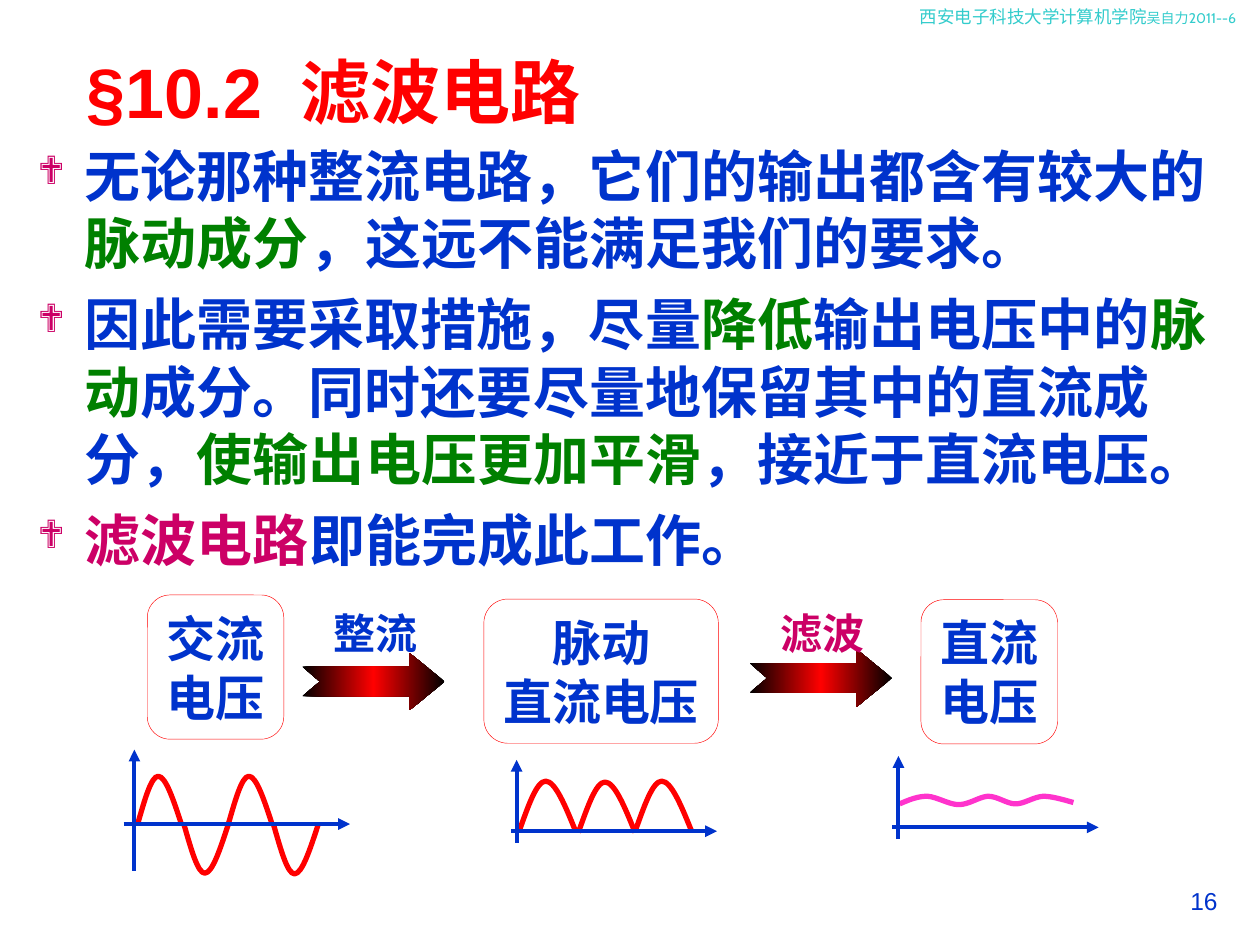
from copy import deepcopy

from pptx import Presentation
from pptx.dml.color import RGBColor
from pptx.enum.shapes import MSO_CONNECTOR, MSO_SHAPE
from pptx.enum.text import MSO_ANCHOR, MSO_AUTO_SIZE, PP_ALIGN
from pptx.oxml.ns import qn
from pptx.oxml.xmlchemy import OxmlElement
from pptx.util import Pt

BLUE = RGBColor(0x00, 0x33, 0xCC)
GREEN = RGBColor(0x00, 0x80, 0x00)
MAGENTA = RGBColor(0xCC, 0x00, 0x66)
PINK = RGBColor(0xFF, 0x33, 0xCC)
RED = RGBColor(0xFF, 0x00, 0x00)
BLACK = RGBColor(0x00, 0x00, 0x00)
TEAL = RGBColor(0x33, 0xCC, 0xCC)
CJK = "Noto Sans CJK SC"


def add_run(p, text, size=28, font=CJK, color=BLUE, bold=True):
    r = p.add_run()
    r.text = text
    r.font.size, r.font.name, r.font.bold = Pt(size), font, bold
    r.font.color.rgb = color
    ea = OxmlElement("a:ea")
    ea.set("typeface", CJK)
    r.font._element.find(qn("a:latin")).addnext(ea)


def add_outline(points, curve_color=None):
    """Closed polygon, or an open Bezier curve when a curve colour is given."""
    points = [(Pt(x), Pt(y)) for x, y in points]
    fb = s.shapes.build_freeform(*points[0])
    fb.add_line_segments(points[1:], close=curve_color is None)
    sp = fb.convert_to_shape()
    sp.shadow.inherit = False
    if curve_color is None:
        sp.line.fill.background()
        return sp
    sp.fill.background()
    sp.line.color.rgb = curve_color
    sp.line.width = Pt(3)
    # Every three vertices become one cubic segment
    segments = list(sp._element.iter(qn("a:lnTo")))
    for i in range(0, len(segments), 3):
        cubic = OxmlElement("a:cubicBezTo")
        segments[i].addprevious(cubic)
        for segment in segments[i:i + 3]:
            cubic.append(segment[0])
            segment.getparent().remove(segment)
    return sp


prs = Presentation()
prs.slide_width, prs.slide_height = Pt(720), Pt(540)
s = prs.slides.add_slide(prs.slide_layouts[5])

# Title
title = s.shapes.title
title.left, title.top, title.width, title.height = Pt(42.5), Pt(20.5), Pt(358.5), Pt(62.6)
title.text_frame.vertical_anchor = MSO_ANCHOR.MIDDLE
p = title.text_frame.paragraphs[0]
p.alignment = PP_ALIGN.LEFT
add_run(p, "§10.2  滤波电路", size=40, font="Arial", color=RED)

# Header line
tf = s.shapes.add_textbox(Pt(518.6), 0, Pt(201.4), Pt(19.4)).text_frame
tf.word_wrap = True
p = tf.paragraphs[0]
add_run(p, "西安电子科技大学计算机学院", size=10, font="Cabin", color=TEAL, bold=False)
add_run(p, "吴自力2011--6", size=8, font="Cabin", color=TEAL, bold=False)

# Bulleted body text
body = [
    [("无论那种整流电路，它们的输出都含有较大的", BLUE), ("脉动成分", GREEN),
     ("，这远不能满足我们的要求。", BLUE)],
    [("因此需要采取措施，尽量", BLUE), ("降低", GREEN), ("输出电压中的", BLUE),
     ("脉动", GREEN), ("成分。同时还要尽量地保留其中的直流成分，", BLUE),
     ("使输出电压更加平滑", GREEN), ("，接近于直流电压。", BLUE)],
    [("滤波电路", MAGENTA), ("即能完成此工作。", BLUE)],
]
tf = s.shapes.add_textbox(Pt(14.4), Pt(77.3), Pt(695.5), Pt(255)).text_frame
tf.word_wrap = True
for i, runs in enumerate(body):
    p = tf.add_paragraph() if i else tf.paragraphs[0]
    if i:
        p.space_before = Pt(8)
    pPr = p._p.get_or_add_pPr()
    pPr.set("marL", str(Pt(27)))
    pPr.set("indent", str(-Pt(27)))
    pPr.set("hangingPunct", "0")
    color = OxmlElement("a:buClr")
    rgb = OxmlElement("a:srgbClr")
    rgb.set("val", str(MAGENTA))
    color.append(rgb)
    pPr.append(color)
    for tag, key, value in [("a:buSzPct", "val", "70000"), ("a:buFont", "typeface", "Wingdings"),
                            ("a:buChar", "char", "❖")]:
        bullet = OxmlElement(tag)
        bullet.set(key, value)
        pPr.append(bullet)
    for text, run_color in runs:
        add_run(p, text, size=32, font="Arial", color=run_color)

# Stage boxes
for x, y, w, lines in [(84.2, 340, 78, ["交流", "电压"]),
                       (276.5, 342.3, 134, ["脉动", "直流电压"]),
                       (526.3, 342.7, 78, ["直流", "电压"])]:
    sp = s.shapes.add_shape(MSO_SHAPE.FLOWCHART_ALTERNATE_PROCESS, Pt(x), Pt(y), Pt(w), Pt(82.4))
    sp.shadow.inherit = False
    sp.fill.background()
    sp.line.color.rgb = RED
    sp.line.width = Pt(0.25)
    tf = sp.text_frame
    tf.word_wrap = False
    tf.vertical_anchor = MSO_ANCHOR.MIDDLE
    for i, text in enumerate(lines):
        p = tf.add_paragraph() if i else tf.paragraphs[0]
        p.alignment = PP_ALIGN.CENTER
        add_run(p, text)

# Notched arrows with labels
for x, y, label_x, text, color in [(172.8, 373, 183.2, "整流", BLUE),
                                   (428.4, 371, 438.3, "滤波", MAGENTA)]:
    arrow = add_outline([(x, y + 8), (x + 61, y + 8), (x + 61, y), (x + 81.4, y + 16.5),
                         (x + 61, y + 33), (x + 61, y + 24.8), (x, y + 24.8),
                         (x + 10, y + 16.5)])
    arrow.fill.gradient()
    arrow.fill.gradient_angle = 180
    gs_list = arrow._element.spPr.find(".//" + qn("a:gsLst"))
    gs_list.append(deepcopy(gs_list[0]))
    for stop, position, stop_color in zip(arrow.fill.gradient_stops, (0, 0.5, 1), (BLACK, RED, BLACK)):
        stop.position = position
        stop.color.rgb = stop_color
    tf = s.shapes.add_textbox(Pt(label_x), Pt(343.5), Pt(63), Pt(36)).text_frame
    tf.word_wrap = False
    tf.auto_size = MSO_AUTO_SIZE.SHAPE_TO_FIT_TEXT
    tf.vertical_anchor = MSO_ANCHOR.MIDDLE
    p = tf.paragraphs[0]
    p.alignment = PP_ALIGN.CENTER
    add_run(p, text, size=24, color=color)

# Half-waves: sine on the left, rectified in the middle
for x, base, width, rise in [(78.5, 471.6, 25.4, 28), (105.1, 471, 25.4, -28),
                             (130.3, 471.6, 25.4, 28), (156.4, 471.4, 25.4, -28),
                             (296.6, 475.2, 32.4, 28.8), (330.5, 475.7, 32.4, 28.8),
                             (362.9, 475.2, 32.4, 28.8)]:
    add_outline([(x + width * dx, base - rise * dy) for dx, dy in
                 [(0, 0), (0.16, 0.5), (0.31, 1), (0.47, 1), (0.64, 1), (0.82, 0.5), (1, 0)]], RED)

# Small ripple
add_outline([(514.1, 459.4), (519.1, 457.2), (524.2, 455), (529.9, 455),
             (535.7, 455.4), (542.2, 459.8), (547.9, 459.8),
             (553.7, 459.8), (559.4, 455.4), (564.5, 455),
             (570.2, 455), (575.3, 459.4), (580.3, 459.4),
             (585.4, 459.4), (590.4, 455.4), (596.2, 455),
             (601.9, 455), (610.6, 457.9), (613.4, 458.6)], PINK)

# Axes
for x, base, left, right, bottom, top in [(76.8, 470.9, 70.6, 200, 497.5, 428.4),
                                          (295.2, 475, 292.3, 409.7, 481.7, 434.2),
                                          (513.4, 472.8, 509.8, 627.8, 479.5, 432)]:
    for ends in [(left, base, right, base), (x, bottom, x, top)]:
        axis = s.shapes.add_connector(MSO_CONNECTOR.STRAIGHT, *map(Pt, ends))
        axis.line.color.rgb = BLUE
        axis.line.width = Pt(2.25)
        tail = OxmlElement("a:tailEnd")
        tail.set("type", "triangle")
        axis.line._get_or_add_ln().append(tail)
        axis._element.spPr.append(OxmlElement("a:effectLst"))

# Page number
tf = s.shapes.add_textbox(Pt(660.2), Pt(502.6), Pt(42.7), Pt(31.7)).text_frame
tf.word_wrap = True
p = tf.paragraphs[0]
p.alignment = PP_ALIGN.RIGHT
add_run(p, "16", size=14, font="Arial", bold=False)

prs.save("out.pptx")
